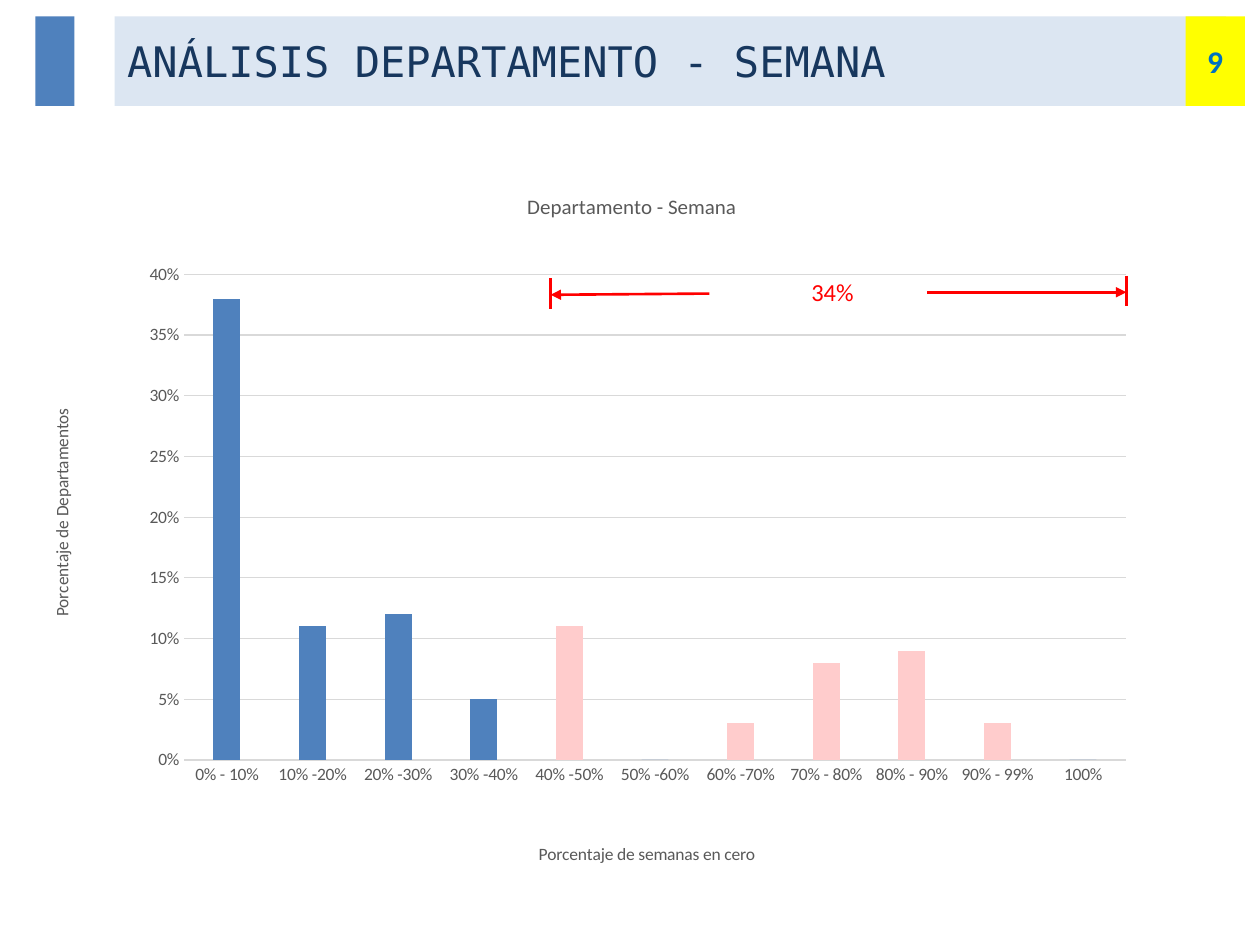
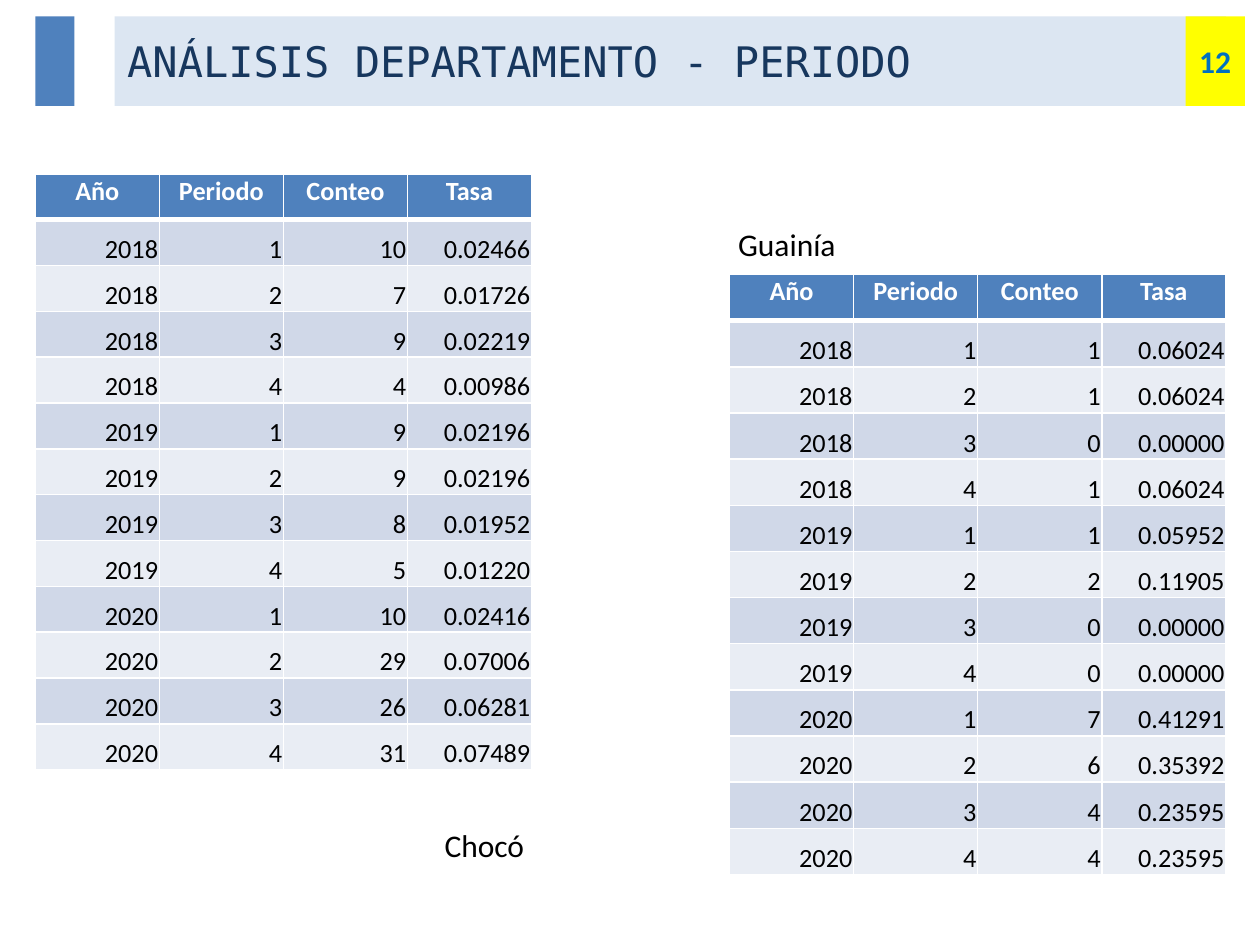
from lxml import etree
from pptx import Presentation
from pptx import util as u
from pptx.chart.data import CategoryChartData
from pptx.dml.color import RGBColor
from pptx.enum import chart as charts, shapes, text
from pptx.oxml import parse_xml
from pptx.oxml.ns import nsdecls, qn

NAVY = RGBColor(0x17, 0x37, 0x5E)
BLUE = RGBColor(0x4F, 0x81, 0xBD)
PALE_BLUE = RGBColor(0xDC, 0xE6, 0xF2)
NUMBER_BLUE = RGBColor(0x00, 0x70, 0xC0)
YELLOW = RGBColor(0xFF, 0xFF, 0x00)
RED = RGBColor(0xFF, 0x00, 0x00)
PINK = RGBColor(0xFF, 0xCC, 0xCC)
GRAY = RGBColor(0x59, 0x59, 0x59)
GRID_GRAY = RGBColor(0xD9, 0xD9, 0xD9)
BLACK = RGBColor(0, 0, 0)
WHITE = RGBColor(0xFF, 0xFF, 0xFF)
ROW_FILLS = [RGBColor(0xD0, 0xD8, 0xE8), RGBColor(0xE9, 0xED, 0xF4)]

BODY_FONT = "Calibri"
TITLE_FONT = "DejaVu Sans Mono"
LEFT_MARGIN = 0.28
BAND_TOP, BAND_HEIGHT = 0.13, 0.71
TABLE_WIDTH = 3.94
THIN_BORDER, THICK_BORDER = 1, 3

SHARES = {
    "0% - 10%": 0.38, "10% -20%": 0.11, "20% -30%": 0.12, "30% -40%": 0.05,
    "40% -50%": 0.11, "50% -60%": 0, "60% -70%": 0.03, "70% - 80%": 0.08,
    "80% - 90%": 0.09, "90% - 99%": 0.03, "100%": 0,
}
FIRST_PINK_BAR = 4

HEADINGS = ["Año", "Periodo", "Conteo", "Tasa"]
PERIODS = [(year, period) for year in (2018, 2019, 2020) for period in (1, 2, 3, 4)]
CHOCO = [
    (10, "0.02466"), (7, "0.01726"), (9, "0.02219"), (4, "0.00986"),
    (9, "0.02196"), (9, "0.02196"), (8, "0.01952"), (5, "0.01220"),
    (10, "0.02416"), (29, "0.07006"), (26, "0.06281"), (31, "0.07489"),
]
GUAINIA = [
    (1, "0.06024"), (1, "0.06024"), (0, "0.00000"), (1, "0.06024"),
    (1, "0.05952"), (2, "0.11905"), (0, "0.00000"), (0, "0.00000"),
    (7, "0.41291"), (6, "0.35392"), (4, "0.23595"), (4, "0.23595"),
]


def inches(*lengths):
    return [u.Inches(length) for length in lengths]


def style_font(font, size, color, name=BODY_FONT, bold=False):
    font.size = u.Pt(size)
    font.name = name
    font.bold = bold
    font.color.rgb = color


def write(frame, words, size=18, color=BLACK, name=BODY_FONT, bold=False,
          align=text.PP_ALIGN.LEFT):
    frame.word_wrap = True
    para = frame.paragraphs[0]
    para.alignment = align
    span = para.add_run()
    span.text = words
    style_font(span.font, size, color, name, bold)


def fill_solid(owner, color):
    owner.fill.solid()
    owner.fill.fore_color.rgb = color


def style_line(line, color, width):
    line.color.rgb = color
    line.width = u.Pt(width)


def add_band(page, left, width, color):
    band = page.shapes.add_shape(
        shapes.MSO_SHAPE.RECTANGLE, *inches(left, BAND_TOP, width, BAND_HEIGHT))
    band.shadow.inherit = False
    band.line.fill.background()
    fill_solid(band, color)
    return band


def add_page(deck, title, number):
    page = deck.slides.add_slide(deck.slide_layouts[5])
    heading = page.shapes.title
    heading.left, heading.top, heading.width, heading.height = inches(
        0.91, BAND_TOP, 8.82, BAND_HEIGHT)
    fill_solid(heading, PALE_BLUE)
    heading.text_frame.auto_size = text.MSO_AUTO_SIZE.NONE
    heading.text_frame.vertical_anchor = text.MSO_ANCHOR.MIDDLE
    write(heading.text_frame, title, size=24, color=NAVY, name=TITLE_FONT)

    add_band(page, LEFT_MARGIN, 0.31, BLUE)
    number_frame = add_band(page, 9.41, 0.47, YELLOW).text_frame
    number_frame.margin_left = number_frame.margin_right = 0
    number_frame.vertical_anchor = text.MSO_ANCHOR.MIDDLE
    write(number_frame, str(number), color=NUMBER_BLUE, bold=True,
          align=text.PP_ALIGN.CENTER)
    return page


def add_label(page, words, left, top, width, height, **style):
    box = page.shapes.add_textbox(*inches(left, top, width, height))
    write(box.text_frame, words, **style)


def add_red_line(page, start, end, arrow=False):
    connector = page.shapes.add_connector(
        shapes.MSO_CONNECTOR.STRAIGHT, *inches(*start, *end))
    style_line(connector.line, RED, 1.5)
    properties = connector._element.spPr
    if arrow:
        etree.SubElement(properties.find(qn("a:ln")), qn("a:tailEnd"), type="triangle")
    etree.SubElement(properties, qn("a:effectLst"))


def set_layout(element, position, target="", **fractions):
    for default in element.findall(qn("c:layout")):
        element.remove(default)
    sizes = "".join(f'<c:{tag} val="{value}"/>' for tag, value in fractions.items())
    element.insert(position, parse_xml(
        f'<c:layout {nsdecls("c")}><c:manualLayout>{target}<c:xMode val="edge"/>'
        f'<c:yMode val="edge"/>{sizes}</c:manualLayout></c:layout>'))


def set_chart_title(title, words, size, x, y):
    write(title.text_frame, words, size=size, color=GRAY, align=text.PP_ALIGN.CENTER)
    set_layout(title._element, 1, x=x, y=y)


def style_axis(axis):
    axis.major_tick_mark = axis.minor_tick_mark = charts.XL_TICK_MARK.NONE
    style_font(axis.tick_labels.font, 10, GRAY)


def style_value_axis(axis):
    style_axis(axis)
    axis.minimum_scale, axis.maximum_scale, axis.major_unit = 0, 0.4, 0.05
    axis.tick_labels.number_format = "0%"
    axis.tick_labels.number_format_is_linked = False
    axis.format.line.fill.background()
    style_line(axis.major_gridlines.format.line, GRID_GRAY, 0.75)


def color_bars(plot):
    plot.gap_width, plot.overlap = 219, -27
    plot.vary_by_categories = False
    series = plot.series[0]
    fill_solid(series.format, BLUE)
    for index, share in enumerate(SHARES.values()):
        if index >= FIRST_PINK_BAR and share:
            fill_solid(series.points[index].format, PINK)


def add_share_chart(page):
    data = CategoryChartData(number_format="0%")
    data.categories = list(SHARES)
    data.add_series("Series 1", list(SHARES.values()))
    chart = page.shapes.add_chart(
        charts.XL_CHART_TYPE.COLUMN_CLUSTERED,
        *inches(LEFT_MARGIN, 1.39, 9.45, 5.51), data).chart
    style_font(chart.font, 10, BLACK)
    chart.has_legend = False
    set_layout(chart._chartSpace.chart.plotArea, 0, '<c:layoutTarget val="inner"/>',
               x=0.125, y=0.145, w=0.791, h=0.709)

    style_axis(chart.category_axis)
    style_line(chart.category_axis.format.line, GRID_GRAY, 0.75)
    style_value_axis(chart.value_axis)
    set_chart_title(chart.chart_title, "Departamento - Semana", 12, 0.41, 0.02)
    set_chart_title(chart.category_axis.axis_title,
                    "Porcentaje de semanas en cero", 10, 0.42, 0.97)
    set_chart_title(chart.value_axis.axis_title,
                    "Porcentaje de Departamentos", 10, 0.01, 0.34)
    color_bars(chart.plots[0])


def set_borders(cell, top=THIN_BORDER, bottom=THIN_BORDER):
    widths = {"L": THIN_BORDER, "R": THIN_BORDER, "T": top, "B": bottom}
    properties = cell._tc.get_or_add_tcPr()
    for side, width in widths.items():
        properties.append(parse_xml(
            f'<a:ln{side} {nsdecls("a")} w="{u.Pt(width)}"><a:solidFill>'
            f'<a:srgbClr val="{WHITE}"/></a:solidFill></a:ln{side}>'))


def fill_cell(cell, words, background, anchor, **style):
    fill_solid(cell, background)
    cell.margin_left = cell.margin_right = cell.margin_top = u.Inches(0.01)
    cell.margin_bottom = 0
    cell.vertical_anchor = anchor
    write(cell.text_frame, words, size=15, **style)


def fill_heading(cell, words):
    set_borders(cell, bottom=THICK_BORDER)
    fill_cell(cell, words, BLUE, text.MSO_ANCHOR.TOP, color=WHITE, bold=True,
              align=text.PP_ALIGN.CENTER)


def fill_value(cell, value, row):
    set_borders(cell, top=THICK_BORDER if row == 1 else THIN_BORDER)
    fill_cell(cell, str(value), ROW_FILLS[(row - 1) % 2], text.MSO_ANCHOR.BOTTOM,
              align=text.PP_ALIGN.RIGHT)


def add_rate_table(page, left, top, height, rates):
    records = [period + rate for period, rate in zip(PERIODS, rates)]
    row_count = len(records) + 1
    table = page.shapes.add_table(
        row_count, len(HEADINGS), *inches(left, top, TABLE_WIDTH, height)).table
    for column, heading in enumerate(HEADINGS):
        fill_heading(table.cell(0, column), heading)
    for row, record in enumerate(records, start=1):
        for column, value in enumerate(record):
            fill_value(table.cell(row, column), value, row)


def build_week_page(deck):
    page = add_page(deck, "ANÁLISIS DEPARTAMENTO - SEMANA", 9)
    add_share_chart(page)
    range_start, range_end = 4.37, 8.94
    add_red_line(page, (range_start, 2.21), (range_start, 2.45))
    add_red_line(page, (range_end, 2.19), (range_end, 2.43))
    add_red_line(page, (7.36, 2.32), (range_end, 2.32), arrow=True)
    add_red_line(page, (5.63, 2.33), (range_start, 2.34), arrow=True)
    add_label(page, "34%", 6.34, 2.15, 0.79, 0.34, size=14, color=RED)


def build_period_page(deck):
    page = add_page(deck, "ANÁLISIS DEPARTAMENTO - PERIODO", 12)
    add_rate_table(page, LEFT_MARGIN, 1.38, 4.73, CHOCO)
    add_label(page, "Chocó", 3.43, 6.51, 2.36, 0.4)
    add_rate_table(page, 5.79, 2.18, 4.76, GUAINIA)
    add_label(page, "Guainía", 5.76, 1.74, 2.36, 0.4)


def main():
    deck = Presentation()
    deck.slide_width, deck.slide_height = inches(10, 7.5)
    build_week_page(deck)
    build_period_page(deck)
    deck.save("out.pptx")


if __name__ == "__main__":
    main()
